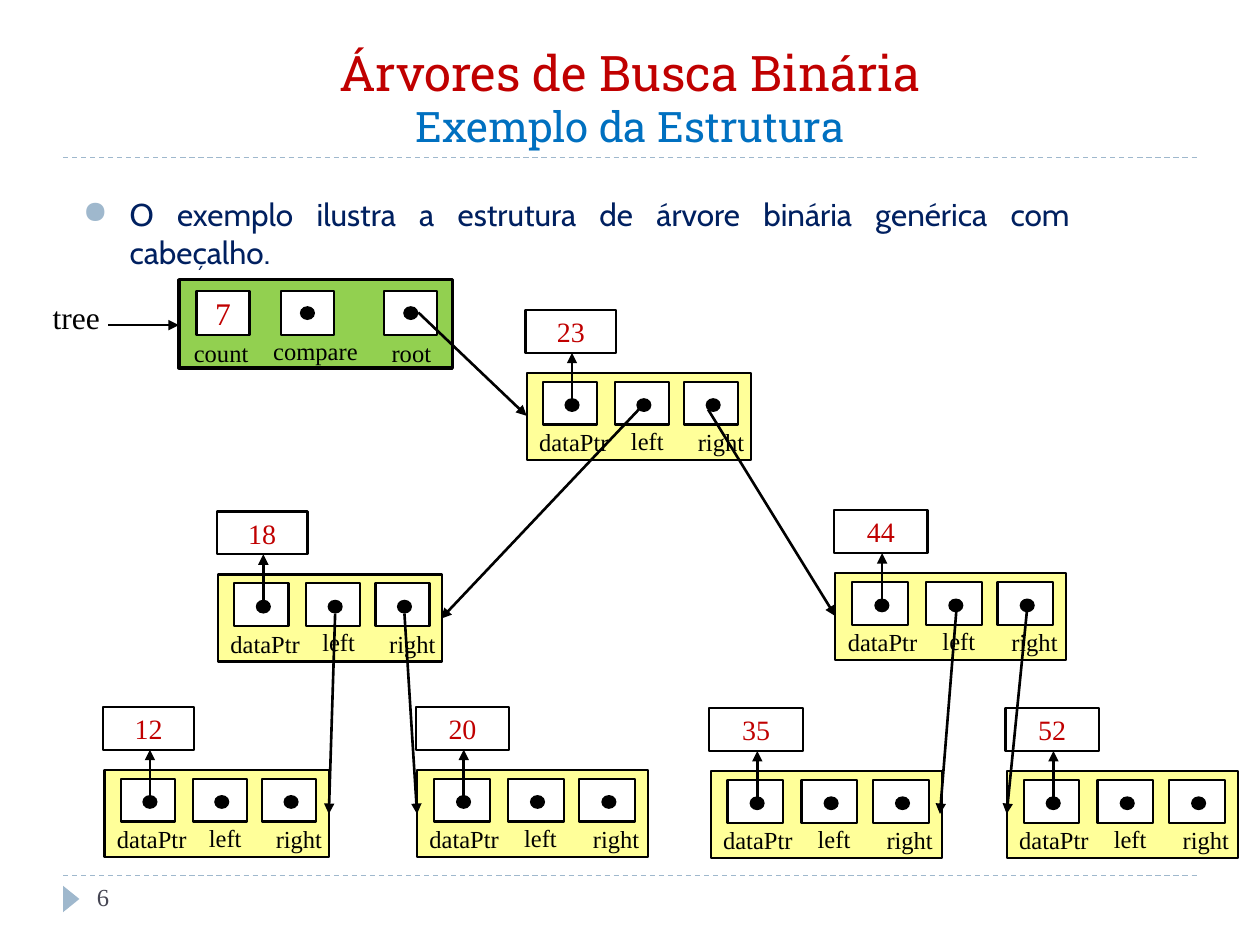
from typing import Any, NamedTuple

from pptx import Presentation
from pptx import util as u
from pptx.dml.color import RGBColor
from pptx.enum import dml, shapes, text
from pptx.oxml import parse_xml
from pptx.oxml.ns import nsdecls

KIND = shapes.MSO_SHAPE
ALIGN = text.PP_ALIGN
ANCHOR = text.MSO_ANCHOR
SERIF = "Times New Roman"
HUES = {
    "black": "000000", "white": "FFFFFF", "red": "C00000", "blue": "0070C0",
    "navy": "002060", "steel": "9FB8CD", "gray": "464653",
    "green": "92D050", "yellow": "FFFF99",
}


class Box(NamedTuple):
    left: float
    top: float
    width: float
    height: float


class Style(NamedTuple):
    size: float
    hue: str
    face: str = SERIF


class Node(NamedTuple):
    value: str
    left: float
    top: float
    scale: float = 1.0


class Edge(NamedTuple):
    x1: float
    y1: float
    x2: float
    y2: float


class Field(NamedTuple):
    name: str
    cell: float
    label: float
    drop: float
    width: float


WIDE = 1.03
FIELDS = (
    Field("dataPtr", 0.13, 0, 0.38, 0.78),
    Field("left", 0.7, 0.73, 0.37, 0.47),
    Field("right", 1.25, 1.26, 0.38, 0.59),
)
HEAD = (
    Field("count", 1.56, 1.44, 2.63, 0.65),
    Field("compare", 2.23, 2.07, 2.62, 0.89),
    Field("root", 3.05, 3.01, 2.63, 0.53),
)
NODES = (
    Node("23", 4.18, 2.96), Node("18", 1.73, 4.56),
    Node("44", 6.63, 4.55, WIDE), Node("35", 5.64, 6.12, WIDE),
    Node("52", 7.99, 6.12, WIDE), Node("12", 0.83, 6.11),
    Node("20", 3.31, 6.11, WIDE),
)
EDGES = (
    Edge(0.86, 2.58, 1.42, 2.58), Edge(3.32, 2.48, 4.18, 3.3),
    Edge(5.07, 3.25, 3.5, 4.91), Edge(5.62, 3.25, 6.63, 4.89),
    Edge(7.59, 4.85, 7.46, 6.46), Edge(8.15, 4.85, 7.99, 6.46),
    Edge(2.66, 4.87, 2.61, 6.46), Edge(3.21, 4.87, 3.31, 6.46),
)
LABEL = Style(14, "black")


def paint(hue: str) -> RGBColor:
    """Return the named colour."""
    return RGBColor.from_string(HUES[hue])


def put(tree: Any, kind: Any, box: Box, hue: str, line: float = 0) -> Any:
    """Add a filled preset shape, outlined when a line width is given."""
    shape = tree.add_shape(kind, *map(u.Inches, box))
    shape.shadow.inherit = False
    shape.fill.solid()
    shape.fill.fore_color.rgb = paint(hue)
    if line:
        shape.line.color.rgb = paint("black")
        shape.line.width = u.Pt(line)
    else:
        shape.line.fill.background()
    return shape


def fill(para: Any, words: str, style: Style) -> None:
    """Add a styled run to a paragraph."""
    run = para.add_run()
    run.text = words
    font = {"size": u.Pt(style.size), "name": style.face}
    for key, value in font.items():
        setattr(run.font, key, value)
    run.font.color.rgb = paint(style.hue)


def write(tree: Any, box: Box, words: str, style: Style) -> Any:
    """Add a wrapping text box and return its frame."""
    frame = tree.add_textbox(*map(u.Inches, box)).text_frame
    frame.word_wrap = True
    fill(frame.paragraphs[0], words, style)
    return frame


def cell(tree: Any, box: Box, words: str = "", size: float = 16) -> None:
    """Add a white cell with an optional centred value."""
    frame = put(tree, KIND.RECTANGLE, box, "white", 1.25).text_frame
    if words:
        frame.vertical_anchor = ANCHOR.MIDDLE
        frame.paragraphs[0].alignment = ALIGN.CENTER
        fill(frame.paragraphs[0], words, Style(size, "red"))


def dot(tree: Any, left: float, top: float) -> None:
    """Add a pointer dot."""
    put(tree, KIND.OVAL, Box(left, top, 0.12, 0.11), "black")


def join(tree: Any, edge: Edge, hue: str = "black", width: float = 1.5) -> Any:
    """Add a straight line without a shadow."""
    line = tree.add_connector(shapes.MSO_CONNECTOR.STRAIGHT, *map(u.Inches, edge))
    line.line.color.rgb = paint(hue)
    line.line.width = u.Pt(width)
    line._element.spPr.append(parse_xml(f"<a:effectLst {nsdecls('a')}/>"))
    return line


def arrow(tree: Any, edge: Edge) -> None:
    """Add a line with an arrowhead at its end."""
    line = join(tree, edge).line
    line._get_or_add_ln().append(
        parse_xml(f'<a:tailEnd {nsdecls("a")} type="triangle"/>'))


def draw(tree: Any, node: Node) -> None:
    """Draw a tree node with its value and three pointers."""
    group = tree.add_group_shape().shapes
    left, top, k = node.left, node.top, node.scale
    put(group, KIND.RECTANGLE, Box(left, top, 1.78 * k, 0.69), "yellow", 1.25)
    for field in FIELDS:
        x = left + field.cell * k
        cell(group, Box(x, top + 0.07, 0.43 * k, 0.34))
        dot(group, x + 0.17 * k, top + 0.2)
        spot = Box(left + field.label * k, top + field.drop, field.width * k, 0.34)
        write(group, spot, field.name, LABEL)
    cell(group, Box(left - 0.01, top - 0.5, 0.72 * k, 0.34), node.value)
    x = left + 0.36 * k
    arrow(group, Edge(x, top + 0.23, x, top - 0.16))


def header(tree: Any) -> None:
    """Draw the green tree header."""
    group = tree.add_group_shape().shapes
    put(group, KIND.RECTANGLE, Box(1.42, 2.22, 2.17, 0.7), "green", 2)
    for field in HEAD:
        value = "7" if field.name == "count" else ""
        cell(group, Box(field.cell, 2.31, 0.42, 0.35), value, 18)
        if not value:
            dot(group, field.cell + 0.15, 2.43)
        write(group, Box(field.label, field.drop, field.width, 0.34), field.name, LABEL)


def words(tree: Any) -> None:
    """Write the title, the bullet and the page number."""
    frame = write(tree, Box(0.5, 0.25, 9, 1), "Árvores de Busca Binária",
                  Style(28, "red", "Roboto Slab"))
    frame.vertical_anchor = ANCHOR.BOTTOM
    para = frame.paragraphs[0]
    para.alignment = ALIGN.CENTER
    para.add_line_break()
    fill(para, "Exemplo da Estrutura", Style(24, "blue", "Roboto Slab"))
    frame = write(
        tree, Box(0.56, 1.5, 8.03, 0.42),
        "O exemplo ilustra a estrutura de árvore binária genérica com cabeçalho.",
        Style(18, "navy", "Cabin"))
    para = frame.paragraphs[0]
    para.alignment = ALIGN.JUSTIFY
    props = para._p.get_or_add_pPr()
    for key, value in {"marL": 0.37, "indent": -0.37}.items():
        props.set(key, str(u.Inches(value)))
    space = nsdecls("a")
    props.append(parse_xml(
        f'<a:buClr {space}><a:srgbClr val="{HUES["steel"]}"/></a:buClr>'))
    props.append(parse_xml(f'<a:buChar {space} char="●"/>'))
    write(tree, Box(0.67, 6.95, 2.17, 0.4), "6", Style(14, "gray"))


def main() -> None:
    """Build and save the slide."""
    deck = Presentation()
    deck.slide_width, deck.slide_height = u.Inches(10), u.Inches(7.5)
    tree = deck.slides.add_slide(deck.slide_layouts[6]).shapes
    for y in (6.95, 1.25):
        rule = join(tree, Edge(0.5, y, 9.5, y), "steel", 0.75)
        rule.line.dash_style = dml.MSO_LINE.DASH
    mark = put(tree, KIND.ISOSCELES_TRIANGLE, Box(0.46, 7.07, 0.21, 0.13), "steel")
    mark.rotation = 90
    words(tree)
    header(tree)
    write(tree, Box(0.32, 2.32, 0.58, 0.4), "tree", Style(18, "black"))
    for node in NODES:
        draw(tree, node)
    for edge in EDGES:
        arrow(tree, edge)
    deck.save("out.pptx")


if __name__ == "__main__":
    main()
